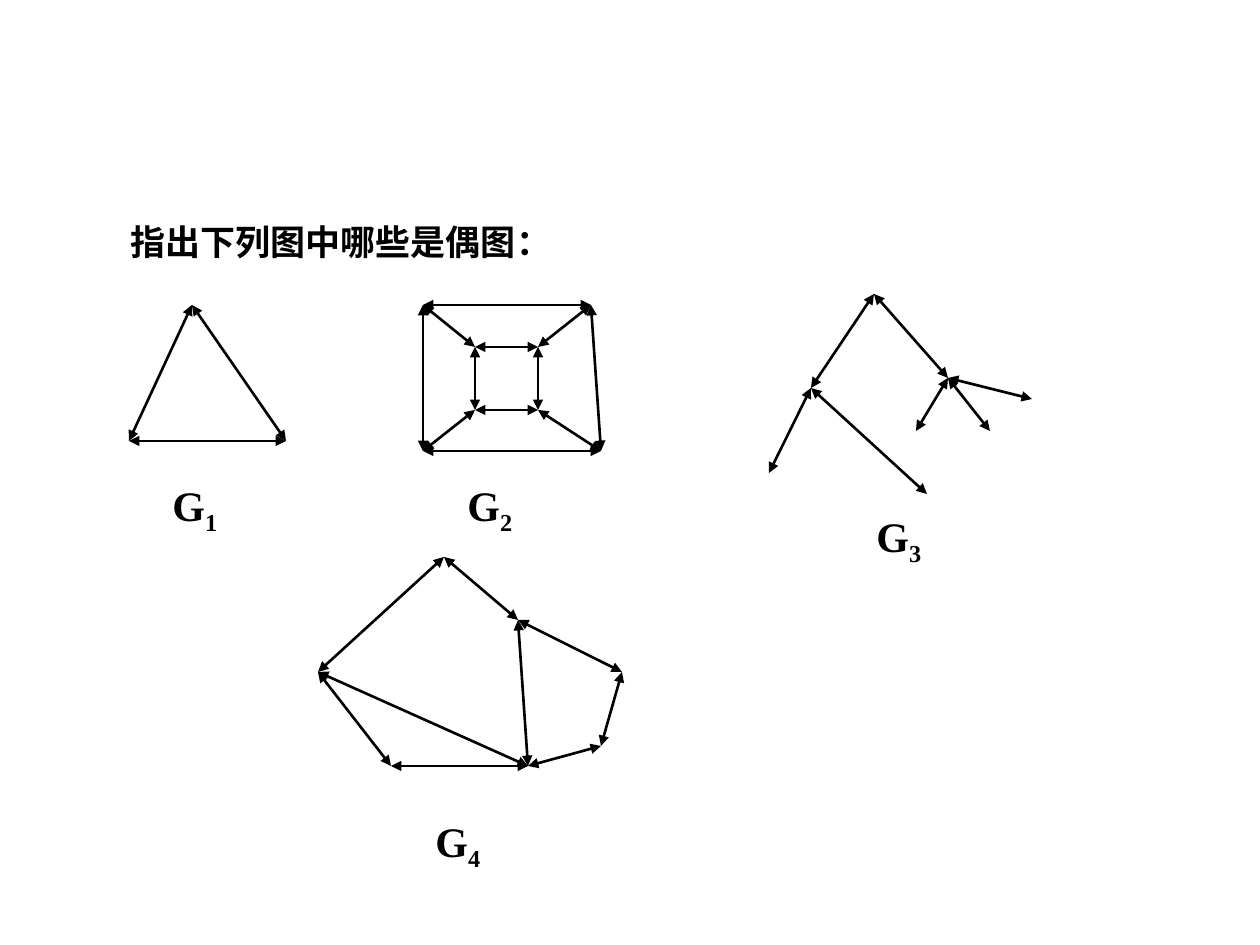
from lxml import etree
from pptx import Presentation, util as u
from pptx.dml.color import RGBColor
from pptx.enum import shapes, text
from pptx.oxml.ns import qn

SCALE = 914400 // 126
FONT = "Times New Roman"
INK = "000000"

GRAPHS = [
    ({"top": (192, 305), "left": (129, 441), "right": (286, 441)},
     "top-left left-right top-right"),
    ({"A": (423, 305), "B": (591, 305), "C": (601, 451), "D": (423, 451),
      "a": (475, 347), "b": (538, 347), "c": (538, 410), "d": (475, 410)},
     "A-D D-C A-B B-C a-d d-c a-b b-c b-B c-C d-D a-A"),
    ({"root": (874, 294), "left": (811, 388), "right": (948, 378),
      "p": (769, 473), "q": (927, 494),
      "x": (916, 431), "y": (990, 431), "z": (1032, 399)},
     "root-left left-q root-right right-x right-y right-z left-p"),
    ({"top": (444, 557), "left": (318, 672), "low": (391, 766),
      "base": (528, 766), "mid": (518, 620), "right": (622, 672),
      "end": (601, 746)},
     "top-left left-low low-base top-mid mid-base left-base "
     "mid-right right-end base-end"),
]
LABELS = [(160, 473), (455, 473), (864, 504), (423, 809)]


def px(n):
    """Turn pixels into EMU."""
    return u.Emu(n * SCALE)


def color(code):
    """Turn a hex string into a colour."""
    return RGBColor.from_string(code)


def add_edge(slide, start, end):
    """Draw one line with an arrowhead at both ends."""
    edge = slide.shapes.add_connector(
        shapes.MSO_CONNECTOR.STRAIGHT, *map(px, start + end))
    edge.line.color.rgb = color(INK)
    edge.line.width = u.Pt(1.5)
    line = edge.line._get_or_add_ln()
    for tag in ("a:headEnd", "a:tailEnd"):
        etree.SubElement(line, qn(tag), type="triangle")
    etree.SubElement(edge._element.spPr, qn("a:effectLst"))


def add_graph(slide, nodes, edges):
    """Draw each edge between its two named nodes."""
    for edge in edges.split():
        start, end = edge.split("-")
        add_edge(slide, nodes[start], nodes[end])


def add_text(slide, box, words, size):
    """Add a bold text box and return its paragraph."""
    frame = slide.shapes.add_textbox(*map(px, box)).text_frame
    frame.word_wrap = True
    frame.auto_size = text.MSO_AUTO_SIZE.SHAPE_TO_FIT_TEXT
    para = frame.paragraphs[0]
    para.add_run().text = words
    font = para.font
    font.name, font.size, font.bold = FONT, u.Pt(size), True
    font.color.rgb = color(INK)
    return para


def add_label(slide, place, number):
    """Add a graph name with its number as a subscript."""
    para = add_text(slide, place + (97, 71), "G", 24)
    run = para.add_run()
    run.text = str(number)
    run.font._element.set("baseline", "-25000")


def main():
    """Build the slide and save it."""
    deck = Presentation()
    deck.slide_width, deck.slide_height = px(1260), px(945)
    slide = deck.slides.add_slide(deck.slide_layouts[6])
    for nodes, edges in GRAPHS:
        add_graph(slide, nodes, edges)
    for number, place in enumerate(LABELS, 1):
        add_label(slide, place, number)
    add_text(slide, (118, 214, 1081, 55), "指出下列图中哪些是偶图：", 20)
    deck.save("out.pptx")


main()
